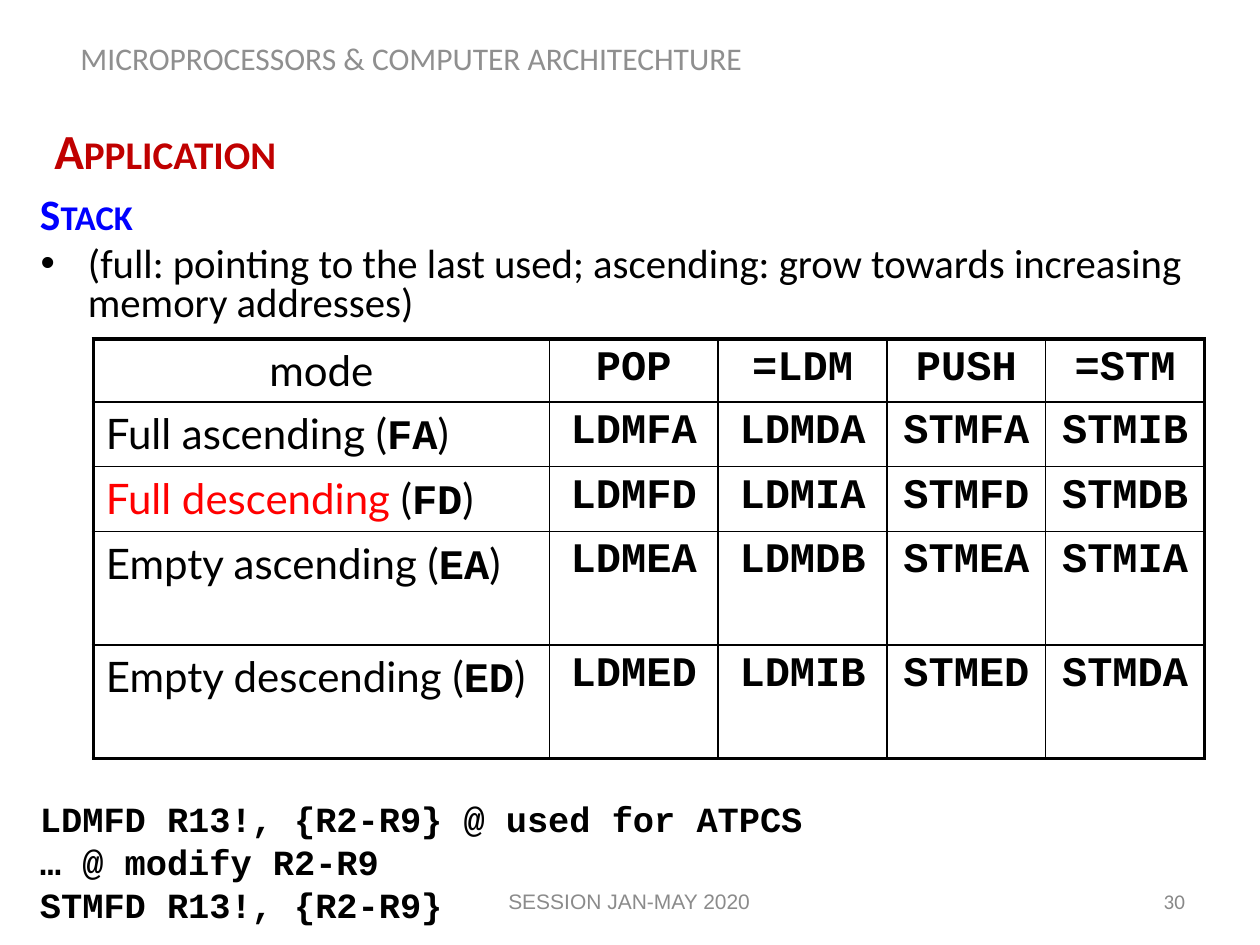
from dataclasses import dataclass
from typing import NamedTuple

from lxml import etree
from pptx import Presentation
from pptx.dml.color import RGBColor
from pptx.enum import shapes, text
from pptx.oxml import ns
from pptx.util import Pt


@dataclass(frozen=True)
class Theme:
    black: str = "000000"
    white: str = "FFFFFF"
    title: str = "C00000"
    topic: str = "0000FF"
    highlight: str = "FF0000"
    page: str = "888888"
    session: str = "8B8B8B"
    body_face: str = "Calibri"
    cell_face: str = "Lato"
    code_face: str = "Courier New"
    footer_face: str = "Arial"
    header_size: float = 18
    title_size: float = 28
    topic_size: float = 24.8
    bullet_size: float = 23.3
    cell_size: float = 24
    code_size: float = 20.2
    footer_size: float = 12
    thin: float = 0.96
    thick: float = 2.21


THEME = Theme()


class Box(NamedTuple):
    left: float
    top: float
    width: float
    height: float

    def lengths(self) -> list:
        return [Pt(value) for value in self]


class Style(NamedTuple):
    face: str
    size: float
    color: str = THEME.black
    bold: bool = False


class Mode(NamedTuple):
    label: str
    code: str
    color: str
    instructions: tuple
    height: float


HEADINGS = ("POP", "=LDM", "PUSH", "=STM")
HEADING_HEIGHT = 35.5
COLUMN_WIDTHS = (260.6, 96.5, 96.5, 90.7, 90.7)
MODES = (
    Mode("Full ascending ", "FA", THEME.black, ("LDMFA", "LDMDA", "STMFA", "STMIB"), 37),
    Mode("Full descending ", "FD", THEME.highlight, ("LDMFD", "LDMIA", "STMFD", "STMDB"), 37),
    Mode("Empty ascending ", "EA", THEME.black, ("LDMEA", "LDMDB", "STMEA", "STMIA"), 64.8),
    Mode("Empty descending ", "ED", THEME.black, ("LDMED", "LDMIB", "STMED", "STMDA"), 64.8),
)
CODE_LINES = (
    "LDMFD R13!, {R2-R9} @ used for ATPCS",
    "… @ modify R2-R9",
    "STMFD R13!, {R2-R9}",
)
CELL = Style(THEME.cell_face, THEME.cell_size)
CELL_CODE = Style(THEME.code_face, THEME.cell_size, bold=True)


def apply_style(font, style: Style) -> None:
    font.name, font.size, font.bold = style.face, Pt(style.size), style.bold
    font.color.rgb = RGBColor.from_string(style.color)


def write(paragraph, words: str, style: Style, align=text.PP_ALIGN.LEFT) -> None:
    paragraph.text = words
    paragraph.alignment = align
    apply_style(paragraph.font, style)


def use_small_caps(paragraph) -> None:
    for run in paragraph.runs:
        run.font._element.set("cap", "small")


def add_frame(slide, box: Box, anchor=text.MSO_ANCHOR.TOP):
    frame = slide.shapes.add_textbox(*box.lengths()).text_frame
    frame.word_wrap = True
    frame.vertical_anchor = anchor
    return frame


def add_header(slide) -> None:
    """Course name, paled by a translucent white panel."""
    course = add_frame(slide, Box(38.9, 18.7, 500, 28.8))
    write(course.paragraphs[0], "MICROPROCESSORS & COMPUTER ARCHITECHTURE",
          Style(THEME.body_face, THEME.header_size))
    veil = slide.shapes.add_shape(shapes.MSO_SHAPE.RECTANGLE, *Box(36, 20.9, 502.6, 28.8).lengths())
    veil.shadow.inherit = False
    veil.fill.solid()
    veil.fill.fore_color.rgb = veil.line.color.rgb = RGBColor.from_string(THEME.white)
    veil.line.width = Pt(2)
    tint = veil._element.spPr.find(ns.qn("a:solidFill"))[0]
    etree.SubElement(tint, ns.qn("a:alpha"), val="56000")


def add_title(slide) -> None:
    title = slide.shapes.title
    title.left, title.top, title.width, title.height = Box(23.8, 66.2, 648, 38.9).lengths()
    title.text_frame.auto_size = text.MSO_AUTO_SIZE.NONE
    title.text_frame.vertical_anchor = text.MSO_ANCHOR.MIDDLE
    heading = title.text_frame.paragraphs[0]
    write(heading, "Application", Style(THEME.body_face, THEME.title_size, THEME.title, True))
    use_small_caps(heading)


def add_introduction(slide) -> None:
    frame = add_frame(slide, Box(15.8, 109.4, 671.8, 80))
    topic, meaning = frame.paragraphs[0], frame.add_paragraph()
    write(topic, "Stack", Style(THEME.body_face, THEME.topic_size, THEME.topic, True))
    use_small_caps(topic)
    properties = meaning._p.get_or_add_pPr()
    properties.set("marL", str(Pt(27.4)))
    properties.set("indent", str(Pt(-27)))
    etree.SubElement(properties, ns.qn("a:buFont"), typeface="Arial")
    etree.SubElement(properties, ns.qn("a:buChar"), char="•")
    write(meaning, "(full: pointing to the last used; ascending: grow towards "
                   "increasing memory addresses)", Style(THEME.body_face, THEME.bullet_size))
    meaning.space_before = Pt(4.7)
    topic.line_spacing = meaning.line_spacing = 0.8


def set_borders(cell, widths: dict) -> None:
    """Draw black borders; widths maps each side, L R T B in that order, to points."""
    properties = cell._tc.get_or_add_tcPr()
    for position, (side, width) in enumerate(widths.items()):
        border = etree.Element(ns.qn(f"a:ln{side}"), w=str(Pt(width)))
        fill = etree.SubElement(border, ns.qn("a:solidFill"))
        etree.SubElement(fill, ns.qn("a:srgbClr"), val=THEME.black)
        properties.insert(position, border)


def write_mode(cell, mode: Mode) -> None:
    paragraph = cell.text_frame.paragraphs[0]
    parts = (
        (mode.label, CELL._replace(color=mode.color)),
        ("(", CELL),
        (mode.code, CELL_CODE),
        (")", CELL),
    )
    for words, style in parts:
        run = paragraph.add_run()
        run.text = words
        apply_style(run.font, style)


def add_mode_table(slide) -> None:
    heights = [HEADING_HEIGHT] + [mode.height for mode in MODES]
    box = Box(53.3, 193.7, sum(COLUMN_WIDTHS), sum(heights))
    last_row, last_column = len(heights) - 1, len(COLUMN_WIDTHS) - 1
    table = slide.shapes.add_table(last_row + 1, last_column + 1, *box.lengths()).table
    table.first_row = table.horz_banding = False
    for column, width in zip(table.columns, COLUMN_WIDTHS):
        column.width = Pt(width)
    for row, height in zip(table.rows, heights):
        row.height = Pt(height)

    center = text.PP_ALIGN.CENTER
    write(table.cell(0, 0).text_frame.paragraphs[0], "mode", CELL, center)
    for r, mode in enumerate(MODES, 1):
        write_mode(table.cell(r, 0), mode)
    for r, entries in enumerate([HEADINGS] + [mode.instructions for mode in MODES]):
        for c, entry in enumerate(entries, 1):
            write(table.cell(r, c).text_frame.paragraphs[0], entry, CELL_CODE, center)

    for r in range(last_row + 1):
        for c in range(last_column + 1):
            outer = {"L": c == 0, "R": c == last_column, "T": r == 0, "B": r == last_row}
            table.cell(r, c).fill.background()
            set_borders(table.cell(r, c), {side: THEME.thick if edge else THEME.thin
                                           for side, edge in outer.items()})


def add_code(slide) -> None:
    frame = add_frame(slide, Box(15.8, 456.8, 671.8, 72))
    for number, line in enumerate(CODE_LINES):
        paragraph = frame.add_paragraph() if number else frame.paragraphs[0]
        write(paragraph, line, Style(THEME.code_face, THEME.code_size, bold=True))
        paragraph.line_spacing = 0.8
        if number:
            paragraph.space_before = Pt(5)


def add_footer(slide) -> None:
    page = add_frame(slide, Box(516.2, 500.4, 168, 28.8), text.MSO_ANCHOR.MIDDLE)
    write(page.paragraphs[0], "30", Style(THEME.body_face, THEME.footer_size, THEME.page),
          text.PP_ALIGN.RIGHT)
    session = add_frame(slide, Box(238.3, 500.4, 242.6, 28.8), text.MSO_ANCHOR.MIDDLE)
    write(session.paragraphs[0], "SESSION JAN-MAY 2020",
          Style(THEME.footer_face, THEME.footer_size, THEME.session), text.PP_ALIGN.CENTER)


def main() -> None:
    deck = Presentation()
    deck.slide_width, deck.slide_height = Pt(720), Pt(540)
    slide = deck.slides.add_slide(deck.slide_layouts[5])
    for add_part in (add_header, add_title, add_introduction, add_mode_table, add_code, add_footer):
        add_part(slide)
    deck.save("out.pptx")


if __name__ == "__main__":
    main()
